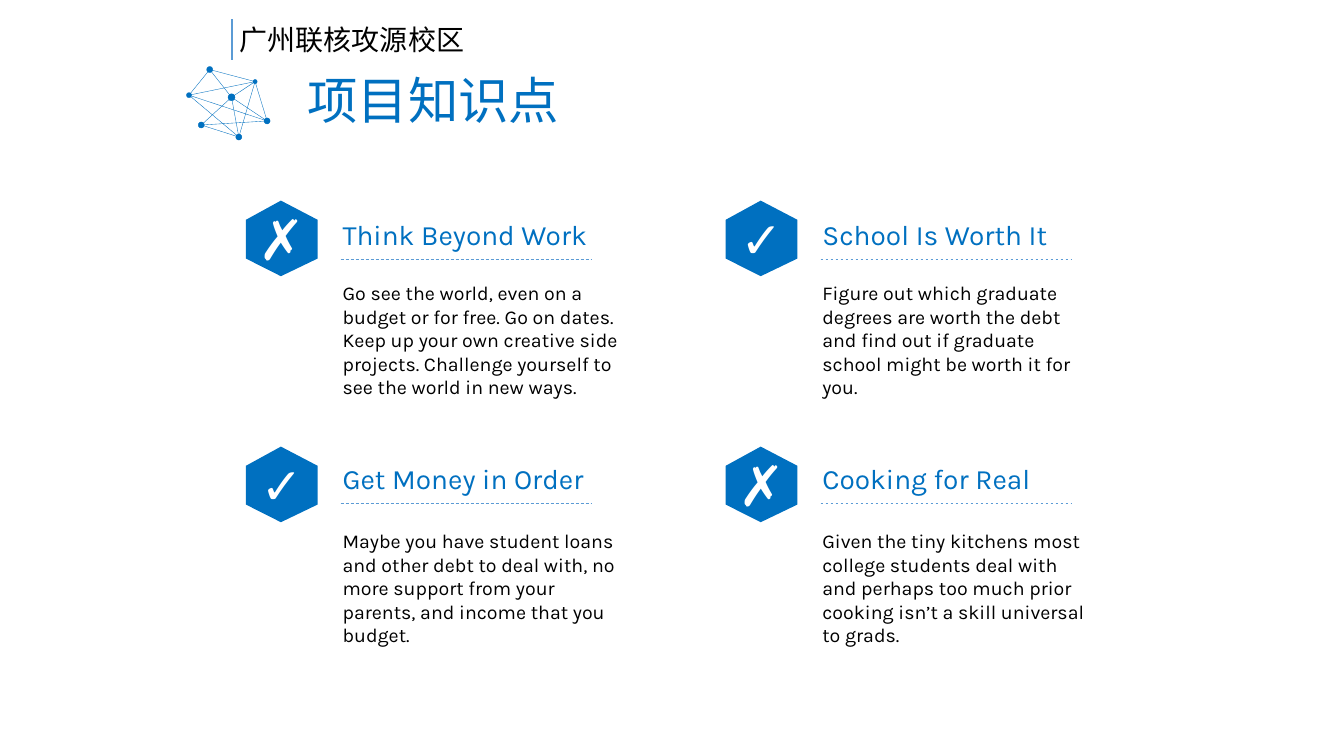
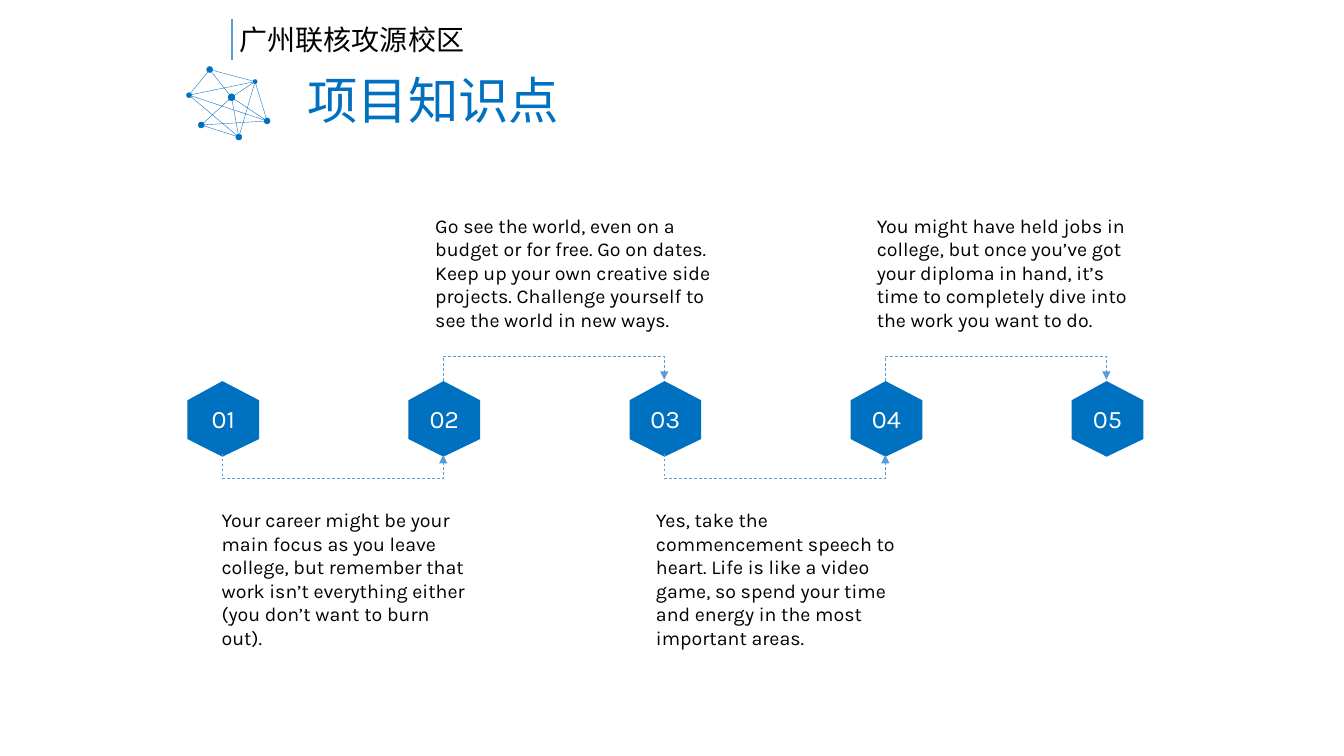
from dataclasses import dataclass
from itertools import product

from lxml.etree import SubElement
from pptx import Presentation
from pptx.dml.color import RGBColor
from pptx.enum.dml import MSO_LINE
from pptx.enum.shapes import MSO_CONNECTOR, MSO_SHAPE
from pptx.enum.text import MSO_ANCHOR, MSO_AUTO_SIZE, PP_ALIGN
from pptx.oxml.ns import qn
from pptx.util import Pt


@dataclass(frozen=True)
class Theme:
    """Colours, fonts and type sizes."""
    blue: RGBColor = RGBColor(0x00, 0x70, 0xC0)
    rule: RGBColor = RGBColor(0x5B, 0x9B, 0xD5)
    black: RGBColor = RGBColor(0, 0, 0)
    white: RGBColor = RGBColor(255, 255, 255)
    font: str = "Karla"
    cjk: str = "Noto Sans CJK KR"
    title: int = 36
    head: int = 20
    body: int = 14
    number: int = 18
    check: int = 36
    cross: int = 40


theme = Theme()

SCHOOL = "广州联核攻源校区"
TITLE = "项目知识点"

# Network emblem: node name -> centre x, centre y, diameter
NODES = {
    "top": (149.8, 49.7, 4.3),
    "hub": (165.4, 69.5, 5),
    "east": (182.2, 58.3, 3),
    "south": (143.8, 89.3, 4.3),
    "west": (135, 68, 3.6),
    "base": (170.6, 97.9, 4.3),
    "right": (190.8, 86.4, 4.3),
}
EDGES = [
    ("top", "west"), ("top", "east"), ("top", "hub"), ("west", "base"),
    ("right", "west"), ("east", "west"), ("base", "east"), ("hub", "base"),
    ("hub", "right"), ("east", "hub"), ("east", "right"), ("hub", "south"),
    ("south", "base"), ("right", "south"),
]

TRAVEL = ("Go see the world, even on a budget or for free. Go on dates. "
          "Keep up your own creative side projects. Challenge yourself to "
          "see the world in new ways.")

# Mark, heading, body, body width; row by row
TOPICS = [
    ("✗", "Think Beyond Work", TRAVEL, 214.6),
    ("✓", "School Is Worth It",
     "Figure out which graduate degrees are worth the debt and find out if "
     "graduate school might be worth it for you.", 195.1),
    ("✓", "Get Money in Order",
     "Maybe you have student loans and other debt to deal with, no more "
     "support from your parents, and income that you budget.", 214.6),
    ("✗", "Cooking for Real",
     "Given the tiny kitchens most college students deal with and perhaps "
     "too much prior cooking isn’t a skill universal to grads.", 205.9),
]
# Tops of hexagon, heading, rule and body in each row
ROWS = [(143.3, 151.9, 185, 197.3), (319, 326.2, 359.3, 374.4)]
COLS = [175.7, 518.4]

# Body, left, width; below and above the steps in turn
STEPS = [
    ("Your career might be your main focus as you leave college, but "
     "remember that work isn’t everything either (you don’t want to burn "
     "out).", 151.2, 190.8),
    (TRAVEL, 303.8, 214.6),
    ("Yes, take the commencement speech to heart. Life is like a video "
     "game, so spend your time and energy in the most important areas.",
     461.5, 196.6),
    ("You might have held jobs in college, but once you’ve got your diploma "
     "in hand, it’s time to completely dive into the work you want to do.",
     619.2, 196.6),
]
HEX = [(25, 54), (51.2, 41.4), (51.2, 13.7), (25, 0), (0, 13.7), (0, 41.4)]


def write(frame, text, size, color, font=theme.font):
    """Put one styled run in a text frame and return its paragraph."""
    para = frame.paragraphs[0]
    run = para.add_run()
    run.text = text
    run.font.size = Pt(size)
    run.font.name = font
    run.font.color.rgb = color
    SubElement(run.font._element, qn("a:ea")).set("typeface", font)
    return para


def label(slide, box, text, size, color, font=theme.font):
    """Add a wrapping text box that grows with its text."""
    frame = slide.shapes.add_textbox(*map(Pt, box)).text_frame
    frame.word_wrap = True
    frame.auto_size = MSO_AUTO_SIZE.SHAPE_TO_FIT_TEXT
    write(frame, text, size, color, font)


def join(slide, ends, color, width, dash=False, kind=MSO_CONNECTOR.STRAIGHT):
    """Add a connector from one point to another, without a shadow."""
    line = slide.shapes.add_connector(kind, *map(Pt, ends))
    line.line.color.rgb = color
    line.line.width = Pt(width)
    if dash:
        line.line.dash_style = MSO_LINE.DASH
    SubElement(line._element.spPr, qn("a:effectLst"))
    return line


def elbow(slide, left, mid, span, below):
    """Add a dashed arrow that leaves and returns 18 points off the row."""
    x = left + span / 2
    half = span / 2 if below else -span / 2
    ends = (x + 0.5, mid - half, x - 0.5, mid + half)
    line = join(slide, ends, theme.rule, 0.5, True, MSO_CONNECTOR.ELBOW)
    props = line._element.spPr
    turn = 270 if below else 90
    props.find(qn("a:xfrm")).set("rot", str(turn * 60000))
    geom = props.find(qn("a:prstGeom"))
    values = geom.find(qn("a:avLst"))
    if values is None:
        values = SubElement(geom, qn("a:avLst"))
    bend = SubElement(values, qn("a:gd"))
    bend.set("name", "adj1")
    bend.set("fmla", "val 1800000")
    SubElement(props.find(qn("a:ln")), qn("a:tailEnd")).set("type", "triangle")


def badge(slide, left, top, text, size):
    """Add a blue hexagon with centred white text."""
    spots = [(Pt(left + x), Pt(top + y)) for x, y in HEX]
    pen = slide.shapes.build_freeform(*spots[0])
    pen.add_line_segments(spots[1:], close=True)
    shape = pen.convert_to_shape()
    shape.shadow.inherit = False
    shape.fill.solid()
    shape.fill.fore_color.rgb = theme.blue
    shape.line.fill.background()
    frame = shape.text_frame
    frame.vertical_anchor = MSO_ANCHOR.MIDDLE
    write(frame, text, size, theme.white).alignment = PP_ALIGN.CENTER


def emblem(slide):
    """Draw the network of dots and thin lines."""
    for start, end in EDGES:
        join(slide, NODES[start][:2] + NODES[end][:2], theme.blue, 0.25)
    for x, y, size in NODES.values():
        box = (x - size / 2, y - size / 2, size, size)
        dot = slide.shapes.add_shape(MSO_SHAPE.OVAL, *map(Pt, box))
        dot.shadow.inherit = False
        dot.fill.solid()
        dot.fill.fore_color.rgb = theme.blue
        dot.line.color.rgb = theme.blue
        dot.line.width = Pt(0.25)


def start(deck):
    """Add a blank slide with the shared emblem, title and school name."""
    slide = deck.slides.add_slide(deck.slide_layouts[6])
    emblem(slide)
    box = (212.4, 42.5, 571, 61.9)
    frame = slide.shapes.add_textbox(*map(Pt, box)).text_frame
    frame.word_wrap = True
    frame.vertical_anchor = MSO_ANCHOR.MIDDLE
    write(frame, TITLE, theme.title, theme.blue).line_spacing = 0.9
    label(slide, (164.2, 12.2, 175.7, 31.7), SCHOOL, theme.head,
          theme.black, theme.cjk)
    join(slide, (165.6, 13.7, 165.6, 43.2), theme.rule, 1.5)
    return slide


def topics(deck):
    """Build the two by two grid of topics."""
    slide = start(deck)
    sizes = {"✗": theme.cross, "✓": theme.check}
    for (row, left), topic in zip(product(ROWS, COLS), TOPICS):
        mark, head, body, width = topic
        top, title, rule, text = row
        badge(slide, left, top, mark, sizes[mark])
        x = left + 61.9
        join(slide, (x + 5.8, rule, x + 184.6, rule), theme.rule, 0.5, True)
        label(slide, (x, title, 195.1, 31.7), head, theme.head, theme.blue)
        label(slide, (x, text, width, 92.2), body, theme.body, theme.black)


def steps(deck):
    """Build the row of numbered steps with arrows and notes."""
    slide = start(deck)
    first, pitch, top = 133.9, 157.9, 272.2
    for i in range(len(STEPS) + 1):
        badge(slide, first + i * pitch, top, f"{i + 1:02}", theme.number)
    for i, (body, left, width) in enumerate(STEPS):
        below = i % 2 == 0
        mid = 324.5 if below else 271.7
        elbow(slide, first + 24.8 + i * pitch, mid, pitch, below)
        y = 359.3 if below else 149
        label(slide, (left, y, width, 92.2), body, theme.body, theme.black)


deck = Presentation()
deck.slide_width, deck.slide_height = Pt(960), Pt(540)
topics(deck)
steps(deck)
deck.save("out.pptx")
